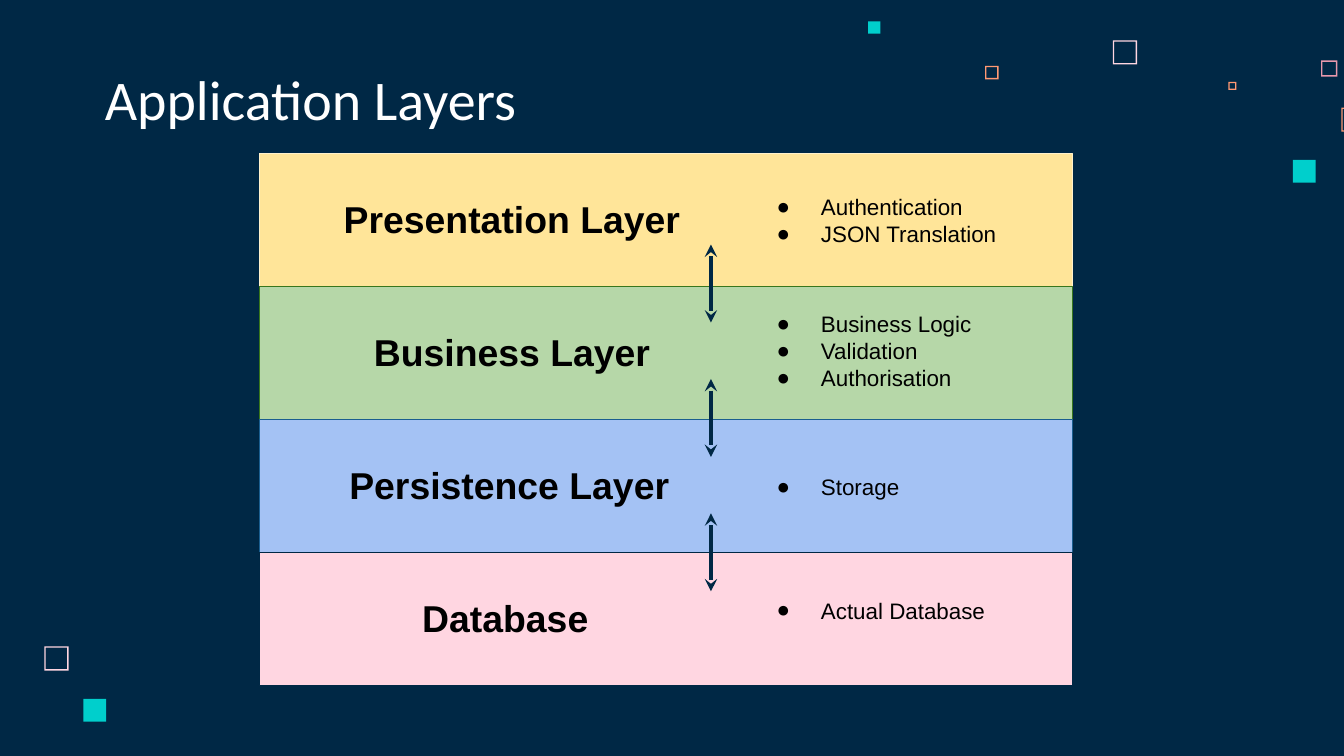
from lxml import etree
from pptx import Presentation, util as u
from pptx.dml.color import RGBColor
from pptx.enum import shapes, text
from pptx.oxml import ns

COLORS = {
    "navy": "002845", "white": "FFFFFF", "black": "000000",
    "pink": "FFD6E1", "rose": "E898AC", "orange": "FF9973", "teal": "00CFCC",
    "yellow": "FFE599", "cream": "FFF2CC", "green": "B6D7A8",
    "forest": "38761D", "blue": "A4C2F4", "ocean": "1A5E8F",
}

FRAMES = [
    (8.28, 0.3, 0.18, "pink"), (9.83, 0.45, 0.12, "rose"),
    (9.14, 0.61, 0.06, "orange"), (9.98, 0.8, 0.18, "orange"),
    (7.33, 0.49, 0.1, "orange"), (0.33, 4.81, 0.18, "pink"),
]
SQUARES = [(9.62, 1.19, 0.17), (6.46, 0.16, 0.09), (0.62, 5.2, 0.17)]

LAYERS = [
    ("Presentation Layer", 2.02, "yellow", "cream", 1.34,
     ["Authentication", "JSON Translation"]),
    ("Business Layer", 2.02, "green", "forest", 2.21,
     ["Business Logic", "Validation", "Authorisation"]),
    ("Persistence Layer", 2.0, "blue", "ocean", 3.42, ["Storage"]),
    ("Database", 1.97, "pink", "navy", 4.34, ["Actual Database"]),
]
BAND_LEFT, BAND_TOP, BAND_WIDTH, BAND_HEIGHT = 1.93, 1.14, 6.05, 0.99


def rgb(name):
    return RGBColor.from_string(COLORS[name])


def box(left, top, width, height):
    return [u.Inches(value) for value in (left, top, width, height)]


def set_fill(shape, color):
    shape.shadow.inherit = False
    shape.fill.solid()
    shape.fill.fore_color.rgb = rgb(color)


def add_square(slide, left, top, size, color):
    square = slide.shapes.add_shape(
        shapes.MSO_SHAPE.RECTANGLE, *box(left, top, size, size))
    set_fill(square, color)
    square.line.fill.background()


def add_frame(slide, left, top, size, color):
    right, bottom, edge = left + size, top + size, 0.01
    outer = [(left, top), (left, bottom), (right, bottom), (right, top)]
    inner = [(right - edge, top + edge), (right - edge, bottom - edge),
             (left + edge, bottom - edge), (left + edge, top + edge)]
    outer, inner = ([(u.Inches(x), u.Inches(y)) for x, y in corners]
                    for corners in (outer, inner))
    builder = slide.shapes.build_freeform(*outer[0])
    builder.add_line_segments(outer[1:], close=True)
    builder.move_to(*inner[0])
    builder.add_line_segments(inner[1:], close=True)
    frame = builder.convert_to_shape()
    set_fill(frame, color)
    frame.line.fill.background()


def add_run(paragraph, words, size, color="black", font="Arial", bold=False):
    run = paragraph.add_run()
    run.text = words
    run.font.name = font
    run.font.size = u.Pt(size)
    run.font.bold = bold
    run.font.color.rgb = rgb(color)


def format_frame(frame, auto_size):
    frame.word_wrap = True
    frame.auto_size = auto_size
    frame.margin_left = frame.margin_right = u.Inches(0.1)
    frame.margin_top = frame.margin_bottom = u.Inches(0.1)


def add_text_box(slide, left, top, width, height):
    frame = slide.shapes.add_textbox(*box(left, top, width, height)).text_frame
    format_frame(frame, text.MSO_AUTO_SIZE.SHAPE_TO_FIT_TEXT)
    return frame


def set_title(slide, words):
    title = slide.shapes.title
    title.left, title.top, title.width, title.height = box(0.68, 0.45, 5.17, 0.63)
    frame = title.text_frame
    format_frame(frame, text.MSO_AUTO_SIZE.NONE)
    frame.vertical_anchor = text.MSO_ANCHOR.BOTTOM
    paragraph = frame.paragraphs[0]
    paragraph.alignment = text.PP_ALIGN.LEFT
    add_run(paragraph, words, 30, "white", "Calibri")


def add_band(slide, top, fill, line):
    band = slide.shapes.add_shape(
        shapes.MSO_SHAPE.RECTANGLE, *box(BAND_LEFT, top, BAND_WIDTH, BAND_HEIGHT))
    set_fill(band, fill)
    band.line.color.rgb = rgb(line)
    band.line.width = u.Pt(0.75)


def add_label(slide, left, top, words):
    paragraph = add_text_box(slide, left, top, 3.58, 0.54).paragraphs[0]
    paragraph.alignment = text.PP_ALIGN.CENTER
    add_run(paragraph, words, 20, bold=True)


def add_bullet(paragraph):
    properties = paragraph._p.get_or_add_pPr()
    properties.set("marL", str(u.Inches(0.5)))
    properties.set("indent", str(u.Inches(-0.33)))
    color = etree.SubElement(properties, ns.qn("a:buClr"))
    etree.SubElement(color, ns.qn("a:srgbClr"), val=COLORS["black"])
    etree.SubElement(properties, ns.qn("a:buFont"), typeface="Arial")
    etree.SubElement(properties, ns.qn("a:buChar"), char="●")


def add_list(slide, top, items):
    frame = add_text_box(slide, 5.51, top, 2.21, 0.2 + 0.2 * len(items))
    for index, item in enumerate(items):
        paragraph = frame.add_paragraph() if index else frame.paragraphs[0]
        add_bullet(paragraph)
        add_run(paragraph, item, 12)


def add_arrow(slide, x, top, length):
    arrow = slide.shapes.add_connector(
        shapes.MSO_CONNECTOR.STRAIGHT, *box(x, top, x, top + length))
    arrow.line.color.rgb = rgb("navy")
    arrow.line.width = u.Pt(2.25)
    line = arrow.line._get_or_add_ln()
    for end in ("a:headEnd", "a:tailEnd"):
        etree.SubElement(line, ns.qn(end), type="stealth")
    etree.SubElement(arrow._element.spPr, ns.qn("a:effectLst"))


def main():
    """Build the application layers slide and save it."""
    presentation = Presentation()
    presentation.slide_width = u.Inches(10)
    presentation.slide_height = u.Inches(10 * 9 / 16)
    slide = presentation.slides.add_slide(presentation.slide_layouts[5])
    slide.background.fill.solid()
    slide.background.fill.fore_color.rgb = rgb("navy")

    for frame in FRAMES:
        add_frame(slide, *frame)
    for square in SQUARES:
        add_square(slide, *square, "teal")
    set_title(slide, "Application Layers")

    for index, (name, left, fill, line, list_top, items) in enumerate(LAYERS):
        top = BAND_TOP + index * BAND_HEIGHT
        add_band(slide, top, fill, line)
        add_label(slide, left, top + 0.22, name)
        add_list(slide, list_top, items)
    for index in range(len(LAYERS) - 1):
        add_arrow(slide, 5.29, 1.82 + index, 0.58)

    presentation.save("out.pptx")


if __name__ == "__main__":
    main()
